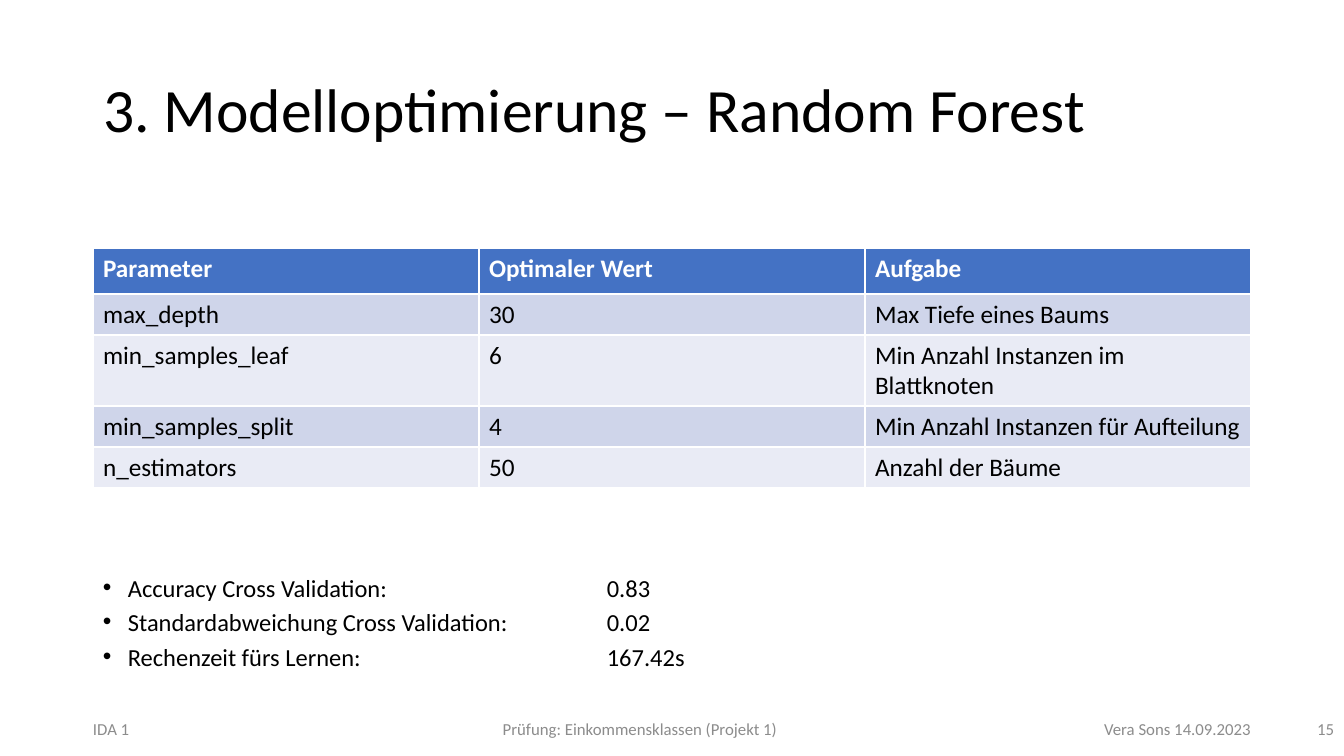
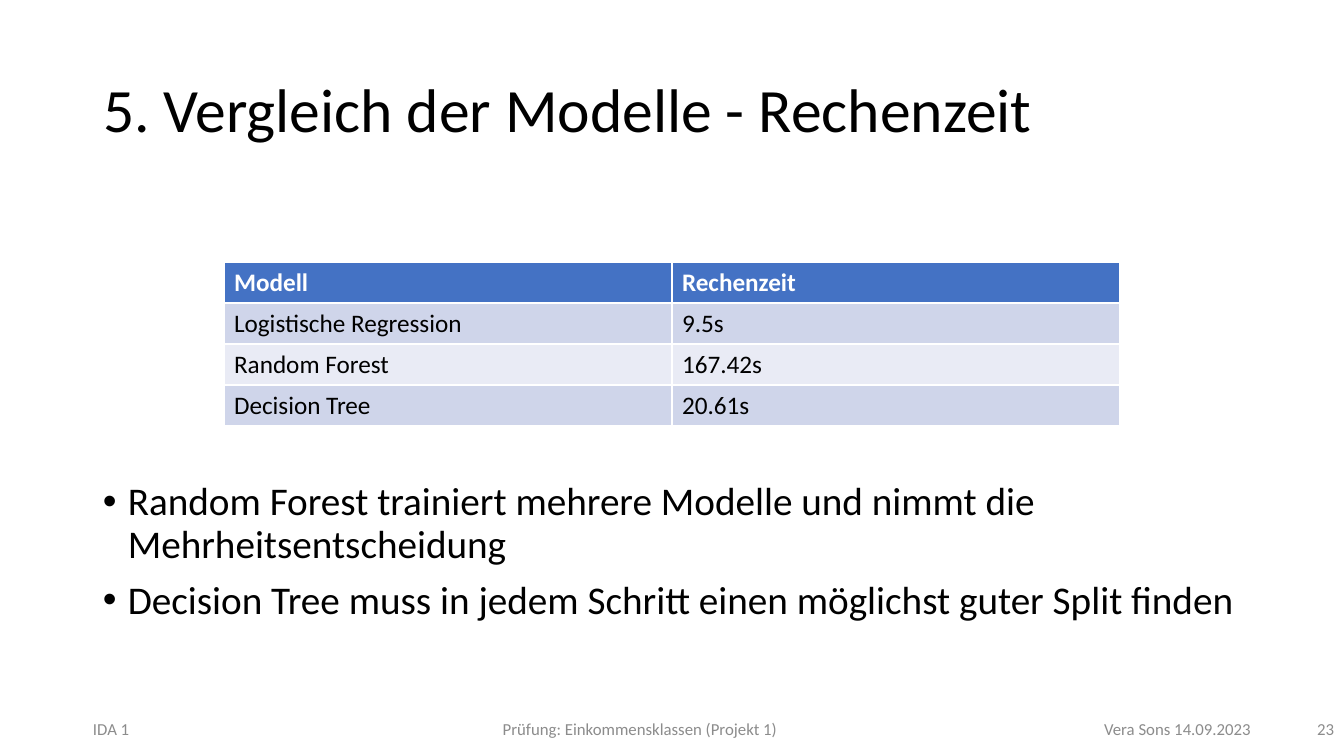
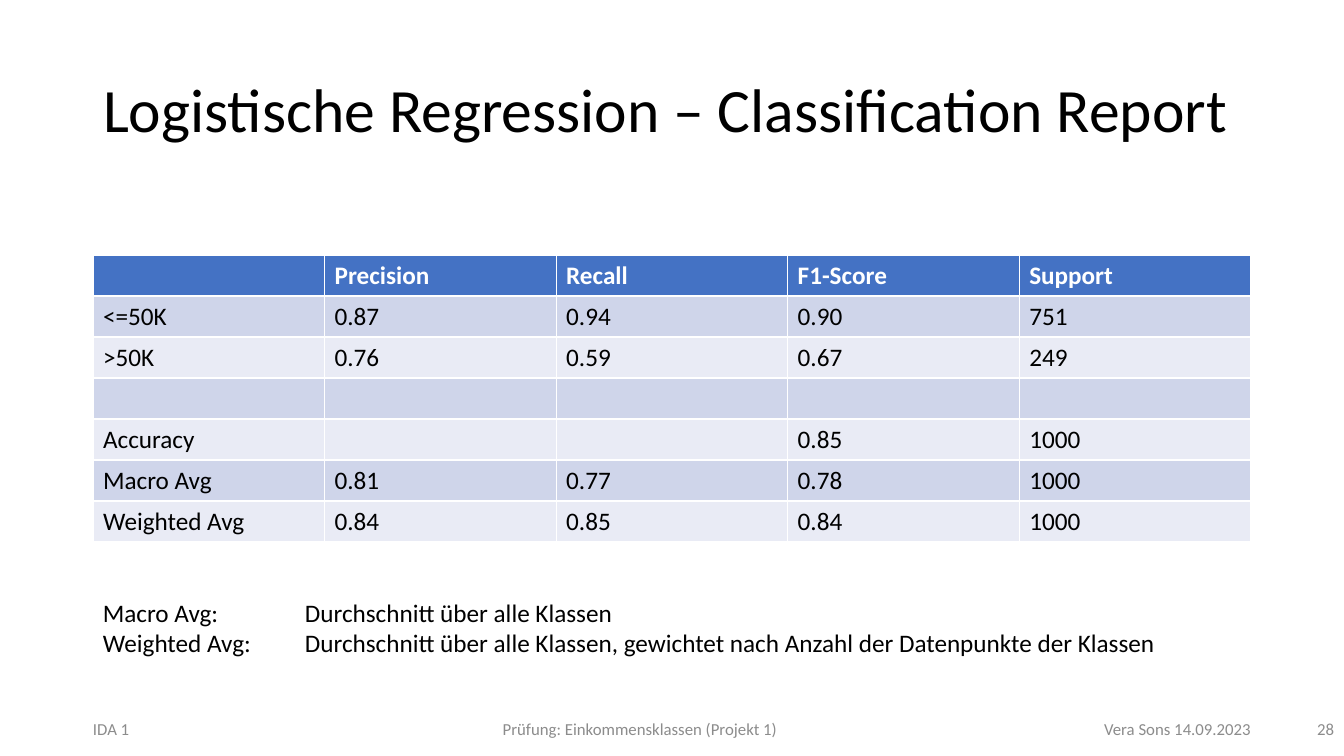
import pptx
import pptx.dml.color
import pptx.enum.text
import pptx.util
from lxml import etree

RGB = pptx.dml.color.RGBColor
ALIGN = pptx.enum.text.PP_ALIGN
ANCHOR = pptx.enum.text.MSO_ANCHOR
NS = "{http://schemas.openxmlformats.org/drawingml/2006/main}"

WHITE = RGB(0xFF, 0xFF, 0xFF)
BLACK = RGB(0, 0, 0)
GRAY = RGB(0x8C, 0x8C, 0x8C)
HEADER_BLUE = RGB(0x44, 0x72, 0xC4)
BANDS = (RGB(0xCF, 0xD5, 0xEA), RGB(0xE9, 0xEB, 0xF5))

SCALE = 914400 / 100.8
LEFT, WIDTH, SLIDE_W, SLIDE_H = 93, 1158, 1344, 756
ROW_H = 41
FOOTER = "IDA 1\tPrüfung: Einkommensklassen (Projekt 1)\tVera Sons 14.09.2023"


def px(n):
    """Turn pixels into EMU."""
    return pptx.util.Emu(round(n * SCALE))


def apply(obj, **values):
    """Set each named attribute on the object."""
    for name, value in values.items():
        setattr(obj, name, value)


def write(p, text, size, color=BLACK, bold=False):
    """Put text in a paragraph as one formatted run."""
    r = p.add_run()
    r.text = text
    apply(r.font, name="Calibri", size=pptx.util.Pt(size), bold=bold)
    r.font.color.rgb = color


def add_tabs(p, stops):
    """Add tab stops given as (pixels, alignment)."""
    tabs = etree.SubElement(p._p.get_or_add_pPr(), NS + "tabLst")
    for pos, algn in stops:
        etree.SubElement(tabs, NS + "tab", pos=str(px(pos)), algn=algn)


def add_bullet(p):
    """Give a paragraph a hanging round bullet."""
    pPr = p._p.get_or_add_pPr()
    apply_indent = {"marL": px(25), "indent": -px(25)}
    for name, value in apply_indent.items():
        pPr.set(name, str(value))
    etree.SubElement(pPr, NS + "buFont", typeface="Arial")
    etree.SubElement(pPr, NS + "buChar", char="•")


def add_text(s, box, lines, size, color=BLACK, tabs=(), bullets=False,
             frame=None, para=None):
    """Add a text box with one paragraph per line."""
    tf = s.shapes.add_textbox(*map(px, box)).text_frame
    apply(tf, **{"word_wrap": True, **(frame or {})})
    for i, line in enumerate(lines):
        p = tf.add_paragraph() if i else tf.paragraphs[0]
        apply(p, **(para or {}))
        if bullets:
            add_bullet(p)
        if tabs:
            add_tabs(p, tabs)
        write(p, line, size, color)


def add_bullets(s, box, lines, size, spacing, tabs=()):
    """Add a bulleted list."""
    add_text(s, box, lines, size, tabs=tabs, bullets=True,
             para={"line_spacing": spacing, "space_before": pptx.util.Pt(10)})


def add_table(s, left, top, width, rows, heights=None):
    """Add a banded table with equal columns."""
    heights = heights or [ROW_H] * len(rows)
    cols = len(rows[0])
    box = (left, top, width, sum(heights))
    table = s.shapes.add_table(len(rows), cols, *map(px, box)).table
    for col in table.columns:
        col.width = px(width / cols)
    for i, (row, height) in enumerate(zip(rows, heights)):
        table.rows[i].height = px(height)
        for j, text in enumerate(row):
            cell = table.cell(i, j)
            cell.fill.solid()
            cell.fill.fore_color.rgb = BANDS[(i - 1) % 2] if i else HEADER_BLUE
            if text:
                write(cell.text_frame.paragraphs[0], text, 18,
                      BLACK if i else WHITE, not i)


def add_slide(prs, title, number):
    """Add a slide with its title, footer and page number."""
    s = prs.slides.add_slide(prs.slide_layouts[5])
    shape = s.shapes.title
    apply(shape, left=px(LEFT), top=px(40), width=px(WIDTH), height=px(146))
    tf = shape.text_frame
    apply(tf, vertical_anchor=ANCHOR.MIDDLE, word_wrap=True,
          auto_size=pptx.enum.text.MSO_AUTO_SIZE.NONE)
    p = tf.paragraphs[0]
    apply(p, alignment=ALIGN.LEFT, line_spacing=0.9)
    write(p, title, 44)
    add_text(s, (0, 716, SLIDE_W, 25), [FOOTER], 12, GRAY,
             tabs=[(WIDTH / 2 - 32, "ctr"), (WIDTH, "r")],
             frame={"vertical_anchor": ANCHOR.MIDDLE,
                    "margin_left": px(LEFT), "margin_right": 0})
    add_text(s, (1041, 709, 303, 40), [str(number)], 12, GRAY,
             frame={"vertical_anchor": ANCHOR.MIDDLE},
             para={"alignment": ALIGN.RIGHT})
    return s


def forest_slide(prs):
    """Build the random forest tuning slide."""
    s = add_slide(prs, "3. Modelloptimierung – Random Forest", 15)
    add_table(s, LEFT, 248, WIDTH, [
        ("Parameter", "Optimaler Wert", "Aufgabe"),
        ("max_depth", "30", "Max Tiefe eines Baums"),
        ("min_samples_leaf", "6", "Min Anzahl Instanzen im Blattknoten"),
        ("min_samples_split", "4", "Min Anzahl Instanzen für Aufteilung"),
        ("n_estimators", "50", "Anzahl der Bäume"),
    ], [46, ROW_H, 71, ROW_H, ROW_H])
    add_bullets(s, (LEFT, 576, WIDTH, 106), [
        "Accuracy Cross Validation:\t0.83",
        "Standardabweichung Cross Validation:\t0.02",
        "Rechenzeit fürs Lernen:\t167.42s",
    ], 17.5, 0.7, [(504, "l")])


def runtime_slide(prs):
    """Build the runtime comparison slide."""
    s = add_slide(prs, "5. Vergleich der Modelle - Rechenzeit", 23)
    add_table(s, 224, 262, 896, [
        ("Modell", "Rechenzeit"),
        ("Logistische Regression", "9.5s"),
        ("Random Forest", "167.42s"),
        ("Decision Tree", "20.61s"),
    ])
    add_bullets(s, (LEFT, 477, WIDTH, 205), [
        "Random Forest trainiert mehrere Modelle und nimmt die "
        "Mehrheitsentscheidung",
        "Decision Tree muss in jedem Schritt einen möglichst guter Split finden",
    ], 28, 0.9)


def report_slide(prs):
    """Build the classification report slide."""
    s = add_slide(prs, "Logistische Regression – Classification Report", 28)
    add_table(s, LEFT, 255, WIDTH, [
        ("", "Precision", "Recall", "F1-Score", "Support"),
        ("<=50K", "0.87", "0.94", "0.90", "751"),
        (">50K", "0.76", "0.59", "0.67", "249"),
        ("",) * 5,
        ("Accuracy", "", "", "0.85", "1000"),
        ("Macro Avg", "0.81", "0.77", "0.78", "1000"),
        ("Weighted Avg", "0.84", "0.85", "0.84", "1000"),
    ])
    add_text(s, (LEFT, 592, 1086, 72), [
        "Macro Avg:\tDurchschnitt über alle Klassen",
        "Weighted Avg:\tDurchschnitt über alle Klassen, gewichtet nach "
        "Anzahl der Datenpunkte der Klassen",
    ], 18, tabs=[(202, "l")], frame={"word_wrap": False})


def main():
    """Build and save the presentation."""
    prs = pptx.Presentation()
    apply(prs, slide_width=px(SLIDE_W), slide_height=px(SLIDE_H))
    for build in (forest_slide, runtime_slide, report_slide):
        build(prs)
    prs.save("out.pptx")


main()
